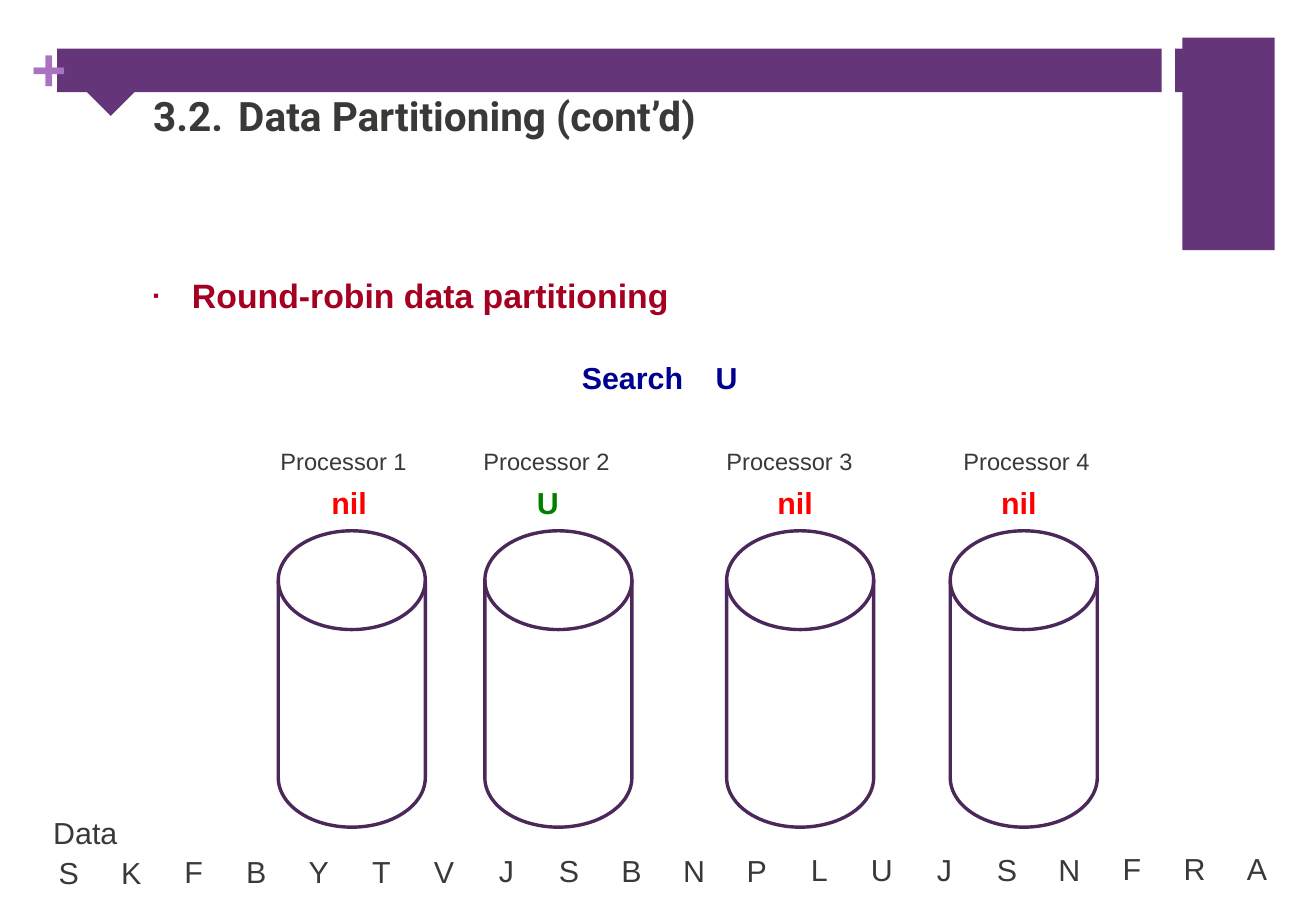
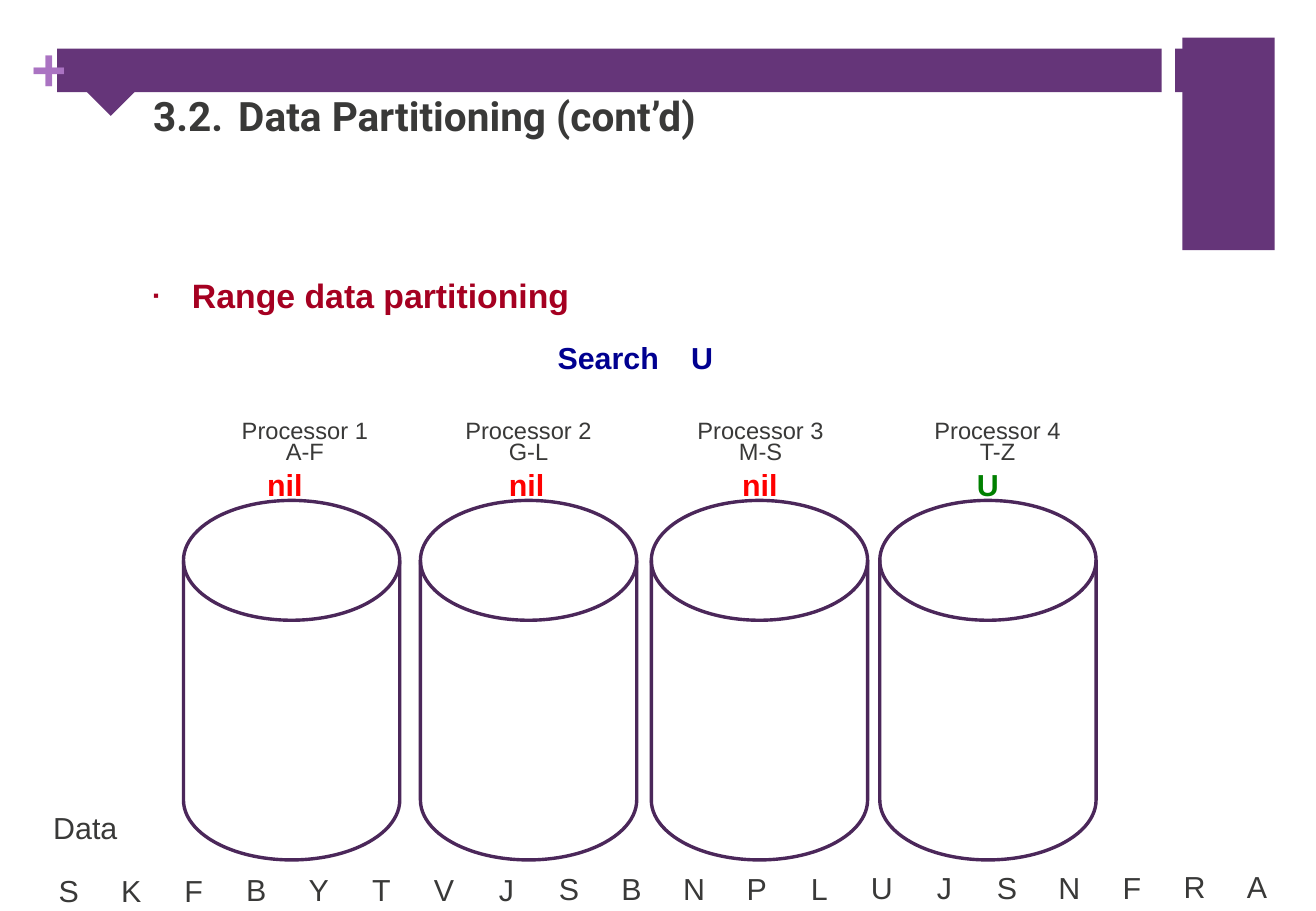
from lxml import etree
from pptx import Presentation, util as u
from pptx.dml.color import RGBColor
from pptx.enum import shapes, text
from pptx.oxml.ns import qn

PURPLE = RGBColor(0x65, 0x35, 0x79)
LILAC = RGBColor(0xAA, 0x73, 0xC2)
OUTLINE = RGBColor(0x4B, 0x27, 0x5A)
INK = RGBColor(0x39, 0x39, 0x38)
CRIMSON = RGBColor(0xA5, 0x00, 0x21)
NAVY = RGBColor(0x00, 0x00, 0x90)
RED = RGBColor(0xFF, 0x00, 0x00)
GREEN = RGBColor(0x00, 0x80, 0x00)
WHITE = RGBColor(0xFF, 0xFF, 0xFF)

WIDTH, HEIGHT = 10.83, 7.5
TITLE = (("3.2.", 24), (" ", 36), ("Data Partitioning (cont’d)", 24))
LETTERS = "SKFBYTVJSBNPLUJSNFRA"
UNFILLED = range(12, 16)
LETTER_LEFT, LETTER_RIGHT, LETTER_RISE = 0.34, 10.12, 0.03
SEARCH = "Search\tU"
SEARCH_TAB = 1.1
STRIP = (0.2, 6.81, 10.63, 0.69)

BANDS = [
    ((0.47, 0.4, 9.94, 0.36), 0, PURPLE),
    ((0.78, 0.5, 0.32, 0.4), 45, PURPLE),
    ((9.73, 0.31, 0.76, 1.75), 0, PURPLE),
    ((9.56, 0.31, 0.11, 1.75), 0, WHITE),
]

SLIDES = [
    {
        "heading": "Round-robin data partitioning",
        "search": (4.69, 2.91),
        "label_top": 3.63, "result_top": 3.94,
        "disk": (4.37, 1.21, 2.44),
        "data_top": 6.65, "letters_top": 6.98,
        "align": text.PP_ALIGN.LEFT, "spacing": 1.0,
        "processors": [
            ("Processor 1", "nil", 2.29, 2.21, 2.63),
            ("Processor 2", "U", 3.99, 3.88, 4.32),
            ("Processor 3", "nil", 5.98, 5.88, 6.3),
            ("Processor 4", "nil", 7.82, 7.83, 8.14),
        ],
    },
    {
        "heading": "Range data partitioning",
        "search": (4.49, 2.74),
        "label_top": 3.43, "result_top": 3.79,
        "disk": (4.12, 1.78, 2.96),
        "data_top": 6.61, "letters_top": 7.13,
        "align": text.PP_ALIGN.CENTER, "spacing": 0.75,
        "processors": [
            ("Processor 1\nA-F", "nil", 1.51, 1.63, 2.1),
            ("Processor 2\nG-L", "nil", 3.46, 3.47, 4.09),
            ("Processor 3\nM-S", "nil", 5.36, 5.38, 6.01),
            ("Processor 4\nT-Z", "U", 7.24, 7.33, 7.94),
        ],
    },
]


def inches(*lengths):
    return [u.Inches(length) for length in lengths]


def style(font, size, color, bold=False, name="Arial"):
    font.size, font.bold, font.name = u.Pt(size), bold, name
    font.color.rgb = color


def set_margins(frame, left, top, right, bottom):
    frame.margin_left, frame.margin_top, frame.margin_right, frame.margin_bottom = inches(
        left, top, right, bottom)


def add_block(slide, at, color):
    block = slide.shapes.add_shape(shapes.MSO_SHAPE.RECTANGLE, *inches(*at))
    block.shadow.inherit = False
    block.fill.solid()
    block.fill.fore_color.rgb = color
    block.line.fill.background()
    return block


def write(box, words, size, color, bold=False, align=text.PP_ALIGN.LEFT, spacing=1.0):
    frame = box.text_frame
    frame.word_wrap = True
    frame.text = words
    for paragraph in frame.paragraphs:
        paragraph.alignment = align
        paragraph.line_spacing = spacing
        for run in paragraph.runs:
            style(run.font, size, color, bold)


def add_text(slide, words, at, size, color, bold=False, align=text.PP_ALIGN.LEFT,
             spacing=1.0, flush=False):
    box = slide.shapes.add_textbox(*inches(*at))
    if flush:
        set_margins(box.text_frame, 0, 0, 0, 0)
    write(box, words, size, color, bold, align, spacing)
    return box


def add_bands(slide, layout):
    parts = []
    for at, turn, color in BANDS:
        band = add_block(slide, at, color)
        band.rotation = turn
        parts.append(band)
    plus = add_text(slide, "+", (0.26, 0.25, 0.31, 0.61), 36, LILAC, True, flush=True)
    for part in parts + [plus]:
        layout.shapes._spTree.append(part._element)


def add_title(slide):
    title = slide.shapes.title
    title.left, title.top, title.width, title.height = inches(1.26, 0.58, 9.21, 1.25)
    frame = title.text_frame
    frame.auto_size = text.MSO_AUTO_SIZE.NONE
    frame.vertical_anchor = text.MSO_ANCHOR.TOP
    set_margins(frame, 0, 0, 0.1, 0.05)
    paragraph = frame.paragraphs[0]
    paragraph.alignment = text.PP_ALIGN.LEFT
    for words, size in TITLE:
        run = paragraph.add_run()
        run.text = words
        style(run.font, size, INK, True, "Roboto")


def add_heading(slide, words):
    box = add_text(slide, words, (1.26, 2.3, 5.25, 0.41), 20, CRIMSON, True,
                   spacing=0.9, flush=True)
    paragraph = box.text_frame.paragraphs[0]
    paragraph.space_after = u.Pt(6)
    props = paragraph._p.get_or_add_pPr()
    props.set("marL", str(u.Inches(0.32)))
    props.set("indent", str(-u.Inches(0.32)))
    for tag, key, value in (("buSzPct", "val", "50000"), ("buFont", "typeface", "Arial"),
                            ("buChar", "char", "▪")):
        etree.SubElement(props, qn("a:" + tag)).set(key, value)


def add_search(slide, left, top):
    box = add_text(slide, SEARCH, (left, top, 1.76, 0.4), 18, NAVY, True)
    props = box.text_frame.paragraphs[0]._p.get_or_add_pPr()
    stops = etree.SubElement(props, qn("a:tabLst"))
    stop = etree.SubElement(stops, qn("a:tab"))
    stop.set("pos", str(u.Inches(SEARCH_TAB)))
    stop.set("algn", "l")


def add_letters(slide, top):
    last = len(LETTERS) - 1
    for index, letter in enumerate(LETTERS):
        share = index / last
        at = (LETTER_LEFT + share * (LETTER_RIGHT - LETTER_LEFT),
              top - share * LETTER_RISE, 0.45, 0.4)
        if index in UNFILLED:
            cell = slide.shapes.add_textbox(*inches(*at))
        else:
            cell = add_block(slide, at, WHITE)
        write(cell, letter, 18, INK, align=text.PP_ALIGN.CENTER)
        cell.text_frame.vertical_anchor = text.MSO_ANCHOR.MIDDLE


def add_processors(slide, content):
    disk_top, disk_width, disk_height = content["disk"]
    for label, result, disk_left, label_left, result_left in content["processors"]:
        disk = slide.shapes.add_shape(
            shapes.MSO_SHAPE.FLOWCHART_MAGNETIC_DISK,
            *inches(disk_left, disk_top, disk_width, disk_height))
        disk.shadow.inherit = False
        disk.fill.background()
        disk.line.color.rgb = OUTLINE
        disk.line.width = u.Pt(2)
        add_text(slide, label, (label_left, content["label_top"], 1.76, 0.4), 14, INK,
                 align=content["align"], spacing=content["spacing"])
        add_text(slide, result, (result_left, content["result_top"], 0.67, 0.4), 18,
                 GREEN if result == "U" else RED, True)


def main():
    deck = Presentation()
    deck.slide_width, deck.slide_height = inches(WIDTH, HEIGHT)
    layout = deck.slide_layouts[5]
    for number, content in enumerate(SLIDES):
        slide = deck.slides.add_slide(layout)
        if number == 0:
            add_bands(slide, layout)
        add_title(slide)
        add_block(slide, STRIP, WHITE)
        add_heading(slide, content["heading"])
        add_search(slide, *content["search"])
        add_letters(slide, content["letters_top"])
        add_text(slide, "Data", (LETTER_LEFT, content["data_top"], 1.76, 0.4), 18, INK)
        add_processors(slide, content)
    deck.save("out.pptx")


if __name__ == "__main__":
    main()
